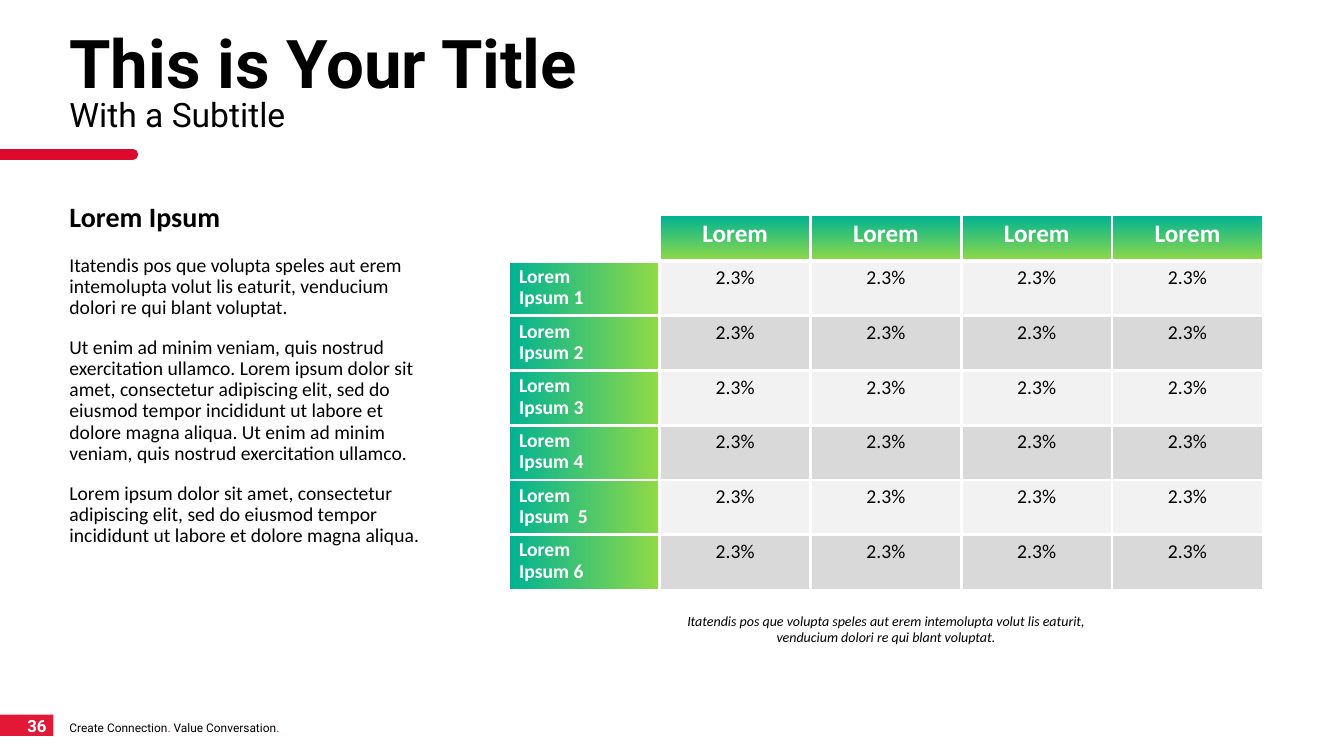
"""Build a slide with a text column and a table of percentages."""
from lxml import etree
from pptx import Presentation
from pptx.dml.color import RGBColor
from pptx.enum.shapes import MSO_CONNECTOR, MSO_SHAPE
from pptx.enum.text import MSO_ANCHOR, PP_ALIGN
from pptx.oxml.ns import qn
from pptx.util import Pt

LEFT, MID, RIGHT = PP_ALIGN.LEFT, PP_ALIGN.CENTER, PP_ALIGN.RIGHT
TOP, CENTER = MSO_ANCHOR.TOP, MSO_ANCHOR.MIDDLE
RECT, LINE = MSO_SHAPE.RECTANGLE, MSO_CONNECTOR.STRAIGHT

COLORS = {
    "white": "FFFFFF", "black": "000000", "dot": "FF0000",
    "tab": "E31837", "rule": "DC0B2E", "teal": "00B294", "lime": "92DA46",
    "pale": "F2F2F2", "gray": "D9D9D9",
}
TITLE = [[("This is Your Title", {"size": 48, "bold": True}), ("\n", {}),
          ("With a Subtitle", {})]]
BODY = [
    [("Lorem Ipsum", {"size": 20, "bold": True})],
    "Itatendis pos que volupta speles aut erem intemolupta volut lis eaturit, "
    "venducium dolori re qui blant voluptat.",
    "Ut enim ad minim veniam, quis nostrud exercitation ullamco. Lorem ipsum "
    "dolor sit amet, consectetur adipiscing elit, sed do eiusmod tempor "
    "incididunt ut labore et dolore magna aliqua. Ut enim ad minim veniam, "
    "quis nostrud exercitation ullamco.",
    "Lorem ipsum dolor sit amet, consectetur adipiscing elit, sed do eiusmod "
    "tempor incididunt ut labore et dolore magna aliqua.",
]
NOTE = ["Itatendis pos que volupta speles aut erem intemolupta volut lis "
        "eaturit, venducium dolori re qui blant voluptat."]
DOT = (".", {"color": "dot"})
FOOTER = [[("Create Connection", {}), DOT, (" Value Conversation", {}), DOT]]
PAGE = ["36"]
HEADS = ["Lorem"] * 4
ROWS = [(["Lorem", label], ["2.3%"] * 4) for label in (
    "Ipsum 1", "Ipsum 2", "Ipsum 3", "Ipsum 4", "Ipsum  5", "Ipsum 6")]

EDGE = 42.48
GRID = (363.6, 154.08, 538.56)
HEAD, ROW = 32.4, 39.1


def rgb(name):
    return RGBColor.from_string(COLORS[name])


def put(frame, paras, size=14, font="Calibri", color="black", bold=False,
        italic=False, align=LEFT, space=0.9, gaps=()):
    for i, para in enumerate(paras):
        p = frame.paragraphs[0] if i == 0 else frame.add_paragraph()
        p.alignment, p.line_spacing = align, space
        if i and gaps:
            p.space_before = Pt(gaps[i - 1])
        for text, style in [(para, {})] if isinstance(para, str) else para:
            if text == "\n":
                p.add_line_break()
                continue
            run = p.add_run()
            run.text = text
            run.font.name = font
            run.font.size = Pt(style.get("size", size))
            run.font.bold = style.get("bold", bold)
            run.font.italic = italic
            run.font.color.rgb = rgb(style.get("color", color))


def box(slide, place, paras, anchor=TOP, **style):
    frame = slide.shapes.add_textbox(*map(Pt, place)).text_frame
    frame.word_wrap, frame.vertical_anchor = True, anchor
    put(frame, paras, **style)


def blend(cell, angle):
    cell.fill.gradient()
    cell.fill.gradient_angle = angle
    for stop, name in zip(cell.fill.gradient_stops, ("teal", "lime")):
        stop.color.rgb = rgb(name)


def solid(cell, name):
    cell.fill.solid()
    cell.fill.fore_color.rgb = rgb(name)


def border(cell, widths):
    props = cell._tc.get_or_add_tcPr()
    for i, (side, width) in enumerate(zip("LRTB", widths)):
        line = etree.Element(qn(f"a:ln{side}"), w=str(Pt(width)))
        paint = etree.SubElement(line, qn("a:solidFill"))
        etree.SubElement(paint, qn("a:srgbClr"), val=COLORS["white"])
        props.insert(i, line)


def add_grid(slide):
    left, top, width = GRID
    wide, high = len(HEADS) + 1, len(ROWS) + 1
    size = (width, HEAD + ROW * len(ROWS))
    table = slide.shapes.add_table(
        high, wide, *map(Pt, (left, top, *size))).table
    table.first_row = table.horz_banding = False
    for col in table.columns:
        col.width = Pt(width / wide)
    for r, row in enumerate(table.rows):
        row.height = Pt(ROW if r else HEAD)

    solid(table.cell(0, 0), "white")
    for c, head in enumerate(HEADS, 1):
        cell = table.cell(0, c)
        put(cell.text_frame, [head], size=18, color="white", bold=True,
            align=MID)
        blend(cell, 270)
    for r, (label, values) in enumerate(ROWS, 1):
        cell = table.cell(r, 0)
        put(cell.text_frame, label, color="white", bold=True)
        blend(cell, 0)
        for c, value in enumerate(values, 1):
            cell = table.cell(r, c)
            put(cell.text_frame, [value], align=MID, space=1.0)
            solid(cell, "pale" if r % 2 else "gray")

    across = [1] + [2.25] * (wide - 1) + [1]
    down = [1, 3] + [2.25] * (high - 2) + [1]
    for r in range(high):
        for c in range(wide):
            border(table.cell(r, c), across[c:c + 2] + down[r:r + 2])


def add_marks(slide):
    tab = slide.shapes.add_shape(RECT, *map(Pt, (0, 510.5, 38.2, 15.1)))
    tab.shadow.inherit = False
    tab.fill.solid()
    tab.fill.fore_color.rgb = rgb("tab")
    tab.line.fill.background()
    rule = slide.shapes.add_connector(LINE, *map(Pt, (0, 110.2, 95, 110.2)))
    rule.line.color.rgb = rgb("rule")
    rule.line.width = Pt(7.5)
    rule.line._get_or_add_ln().set("cap", "rnd")
    etree.SubElement(rule._element.spPr, qn("a:effectLst"))


def main():
    deck = Presentation()
    deck.slide_width, deck.slide_height = Pt(960), Pt(540)
    slide = deck.slides.add_slide(deck.slide_layouts[6])
    add_marks(slide)
    box(slide, (3.6, 509, 36.7, 20.2), PAGE, CENTER, size=12, font="Roboto",
        color="white", bold=True, align=RIGHT)
    box(slide, (EDGE, 511.2, 180, 18), FOOTER, CENTER, size=8.5, font="Roboto")
    box(slide, (EDGE, 23, 894.2, 90.7), TITLE, size=24, font="Roboto",
        space=0.8)
    box(slide, (EDGE, 141.8, 274.3, 254.2), BODY, gaps=(15.4, 13.3, 13.3))
    add_grid(slide)
    box(slide, (462.2, 435.6, 341.3, 28.8), NOTE, size=10, italic=True,
        align=MID)
    deck.save("out.pptx")


if __name__ == "__main__":
    main()
